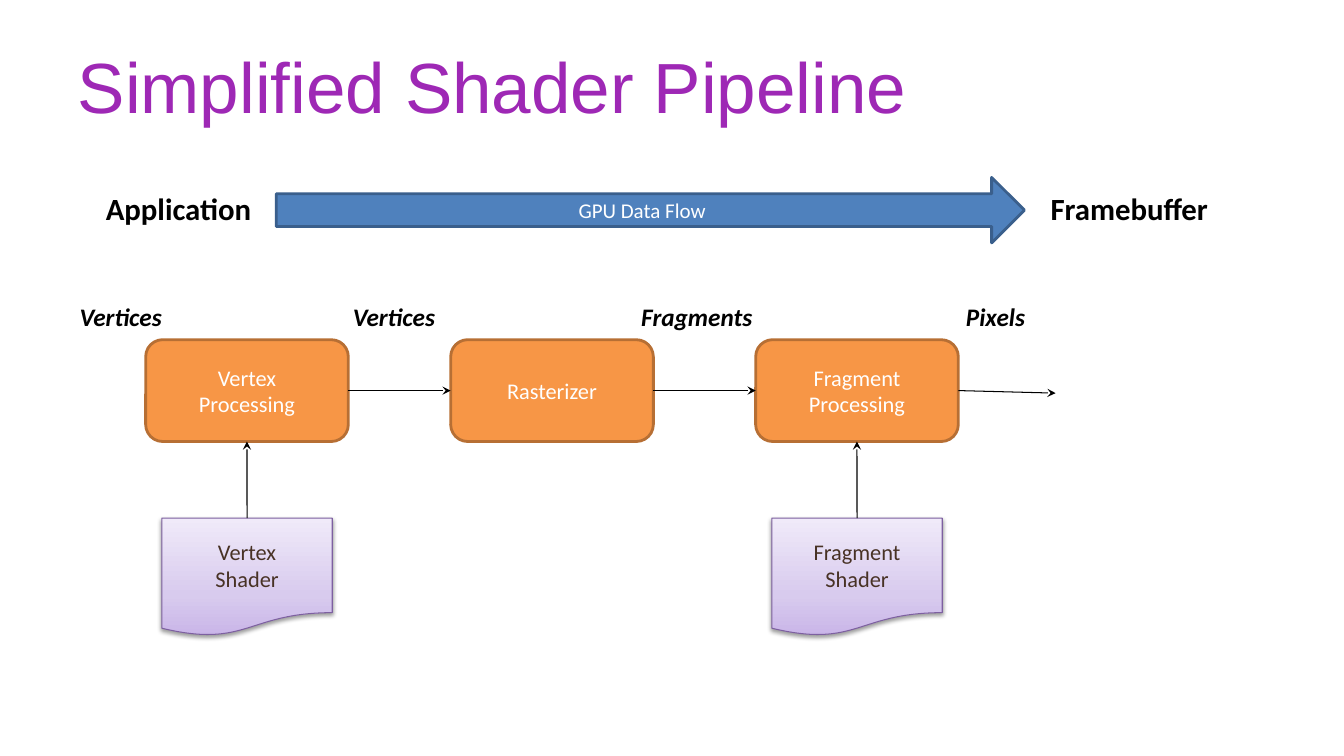
import pptx
import pptx.util
import pptx.dml.color
import pptx.enum.shapes
import pptx.enum.text
import pptx.oxml

Inches, Pt = pptx.util.Inches, pptx.util.Pt
RGBColor = pptx.dml.color.RGBColor
Preset = pptx.enum.shapes.MSO_SHAPE
Align, Anchor = pptx.enum.text.PP_ALIGN, pptx.enum.text.MSO_ANCHOR
AutoSize = pptx.enum.text.MSO_AUTO_SIZE

PURPLE = RGBColor(0x9E, 0x28, 0xB5)
ORANGE = RGBColor(0xF7, 0x96, 0x46)
BROWN = RGBColor(0xB7, 0x6F, 0x34)
BLUE = RGBColor(0x4F, 0x81, 0xBD)
NAVY = RGBColor(0x3A, 0x5F, 0x8C)
VIOLET = RGBColor(0x7D, 0x60, 0xA0)
LAVENDERS = ((0, RGBColor(0xC9, 0xB5, 0xE8)), (35, RGBColor(0xD8, 0xCB, 0xEE)),
             (100, RGBColor(0xF0, 0xEA, 0xF9)))
UMBER = RGBColor(0x48, 0x32, 0x25)
WHITE = RGBColor(0xFF, 0xFF, 0xFF)
BLACK = RGBColor(0, 0, 0)
NS = 'xmlns:a="http://schemas.openxmlformats.org/drawingml/2006/main"'

# Grid: three stage columns, one row for each band of the diagram
FIRST_CENTRE, COLUMN = 2.45, 3.025
CENTRES = [FIRST_CENTRE + COLUMN * i for i in range(3)]
FLOW_ROW, LABEL_ROW, STAGE_ROW, SHADER_ROW = 1.76, 2.93, 3.37, 5.14
STAGE_W, STAGE_H = 2.01, 1.01
SHADER_W, SHADER_H = 1.69, 1.17


def write(frame, paragraphs, size, color, align=Align.CENTER, bold=False, italic=False):
    """Fill a frame; a newline inside a paragraph becomes a line break."""
    frame.margin_left = frame.margin_right = Inches(0.12)
    frame.margin_top = frame.margin_bottom = Inches(0.06)
    for i, text in enumerate(paragraphs):
        paragraph = frame.add_paragraph() if i else frame.paragraphs[0]
        paragraph.alignment = align
        for j, line in enumerate(text.split("\n")):
            if j:
                paragraph.add_line_break()
            run = paragraph.add_run()
            run.text = line
            run.font.name, run.font.size = "Calibri", Pt(size)
            run.font.color.rgb = color
            run.font.bold, run.font.italic = bold, italic


def add_box(preset, left, top, width, height, fill, line, line_width):
    box = slide.shapes.add_shape(preset, Inches(left), Inches(top), Inches(width), Inches(height))
    box.shadow.inherit = False
    box.fill.solid()
    box.fill.fore_color.rgb = fill
    box.line.color.rgb = line
    box.line.width = Pt(line_width)
    box.text_frame.word_wrap = True
    box.text_frame.vertical_anchor = Anchor.MIDDLE
    return box


deck = pptx.Presentation()
deck.slide_width, deck.slide_height = Inches(13.33), Inches(7.5)
slide = deck.slides.add_slide(deck.slide_layouts[5])

# Title
title = slide.shapes.title
title.left, title.top, title.width, title.height = (Inches(n) for n in (0.67, 0.3, 12, 1.25))
heading = title.text_frame
heading.auto_size = AutoSize.NONE
heading.vertical_anchor = Anchor.TOP
write(heading, ["Simplified Shader Pipeline"], 50.7, PURPLE, Align.LEFT)
heading.margin_left, heading.margin_top = Inches(0.1), Inches(0.12)
heading.paragraphs[0].runs[0].font.name = "Arial"

# Stages
stages = []
for centre, name in zip(CENTRES, ("Vertex\nProcessing", "Rasterizer", "Fragment Processing")):
    stage = add_box(Preset.ROUNDED_RECTANGLE, centre - STAGE_W / 2, STAGE_ROW,
                    STAGE_W, STAGE_H, ORANGE, BROWN, 2)
    write(stage.text_frame, [name], 16, WHITE)
    stages.append(stage)

# Shader programs, with gradient and soft shadow
shaders = []
for centre, name in ((CENTRES[0], "Vertex"), (CENTRES[2], "Fragment")):
    shader = add_box(Preset.FLOWCHART_DOCUMENT, centre - SHADER_W / 2, SHADER_ROW,
                     SHADER_W, SHADER_H, LAVENDERS[0][1], VIOLET, 0.75)
    write(shader.text_frame, [name, "Shader"], 16, UMBER)
    stops = "".join(f'<a:gs pos="{share * 1000}"><a:srgbClr val="{color}"/></a:gs>'
                    for share, color in LAVENDERS)
    properties = shader.element.spPr
    solid = properties.find(pptx.oxml.ns.qn("a:solidFill"))
    properties.replace(solid, pptx.oxml.parse_xml(
        f'<a:gradFill {NS} rotWithShape="1"><a:gsLst>{stops}</a:gsLst>'
        '<a:lin ang="16200000" scaled="0"/></a:gradFill>'))
    effects = properties.find(pptx.oxml.ns.qn("a:effectLst"))
    effects.append(pptx.oxml.parse_xml(
        f'<a:outerShdw {NS} blurRad="{Pt(3.1)}" dist="{Pt(1.6)}" dir="5400000" rotWithShape="0">'
        '<a:srgbClr val="000000"><a:alpha val="38000"/></a:srgbClr></a:outerShdw>'))
    shaders.append(shader)

# Arrows: start shape and site, end shape and site (0 top, 1 left, 2 bottom, 3 right)
for source, source_site, target, target_site in (
        (stages[0], 3, stages[1], 1), (stages[1], 3, stages[2], 1), (stages[2], 3, None, None),
        (shaders[0], 0, stages[0], 2), (shaders[1], 0, stages[2], 2)):
    arrow = slide.shapes.add_connector(pptx.enum.shapes.MSO_CONNECTOR.STRAIGHT,
                                       Inches(9.5), Inches(3.88), Inches(10.47), Inches(3.9))
    arrow.begin_connect(source, source_site)
    if target is not None:
        arrow.end_connect(target, target_site)
    arrow.line.color.rgb = BLACK
    arrow.line.width = Pt(0.75)
    arrow.line._get_or_add_ln().append(pptx.oxml.parse_xml(f'<a:tailEnd {NS} type="stealth"/>'))
    arrow.element.spPr.append(pptx.oxml.parse_xml(f'<a:effectLst {NS}/>'))

# Data flow band
flow = add_box(Preset.RIGHT_ARROW, 2.74, FLOW_ROW, 7.42, 0.65, BLUE, NAVY, 2)
write(flow.text_frame, ["GPU Data Flow"], 15, WHITE)

# Labels: the ends of the flow, then what passes between the stages
for text, left, top, width, height, size, italic in (
        ("Application", 0.93, FLOW_ROW + 0.06, 1.71, 0.5, 22, False),
        ("Framebuffer", 10.3, FLOW_ROW + 0.06, 1.84, 0.5, 22, False),
        ("Vertices", 0.67, LABEL_ROW, 1.08, 0.43, 18, True),
        ("Vertices", 3.38, LABEL_ROW, 1.08, 0.43, 18, True),
        ("Fragments", 6.24, LABEL_ROW, 1.37, 0.43, 18, True),
        ("Pixels", 9.46, LABEL_ROW, 0.85, 0.43, 18, True)):
    label = slide.shapes.add_textbox(Inches(left), Inches(top), Inches(width), Inches(height))
    label.text_frame.word_wrap = False
    label.text_frame.auto_size = AutoSize.SHAPE_TO_FIT_TEXT
    write(label.text_frame, [text], size, BLACK, Align.LEFT, True, italic)

deck.save("out.pptx")
